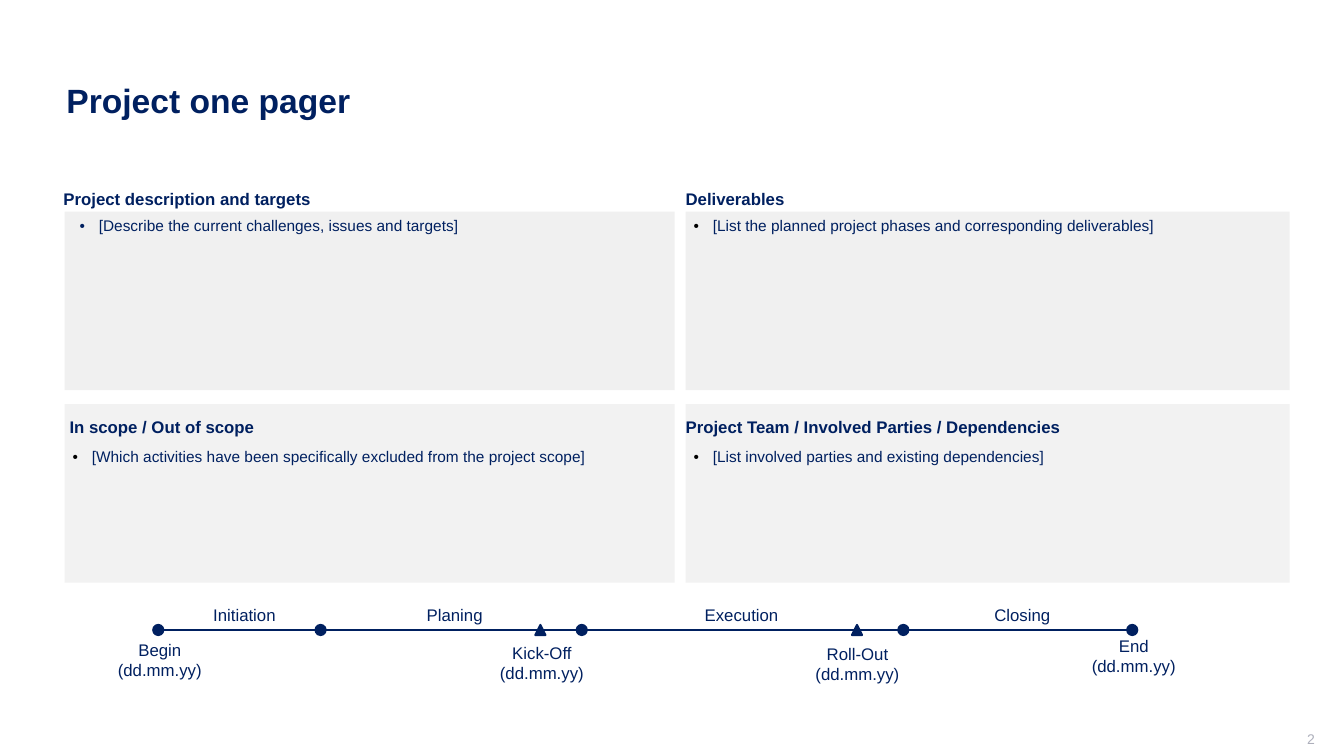
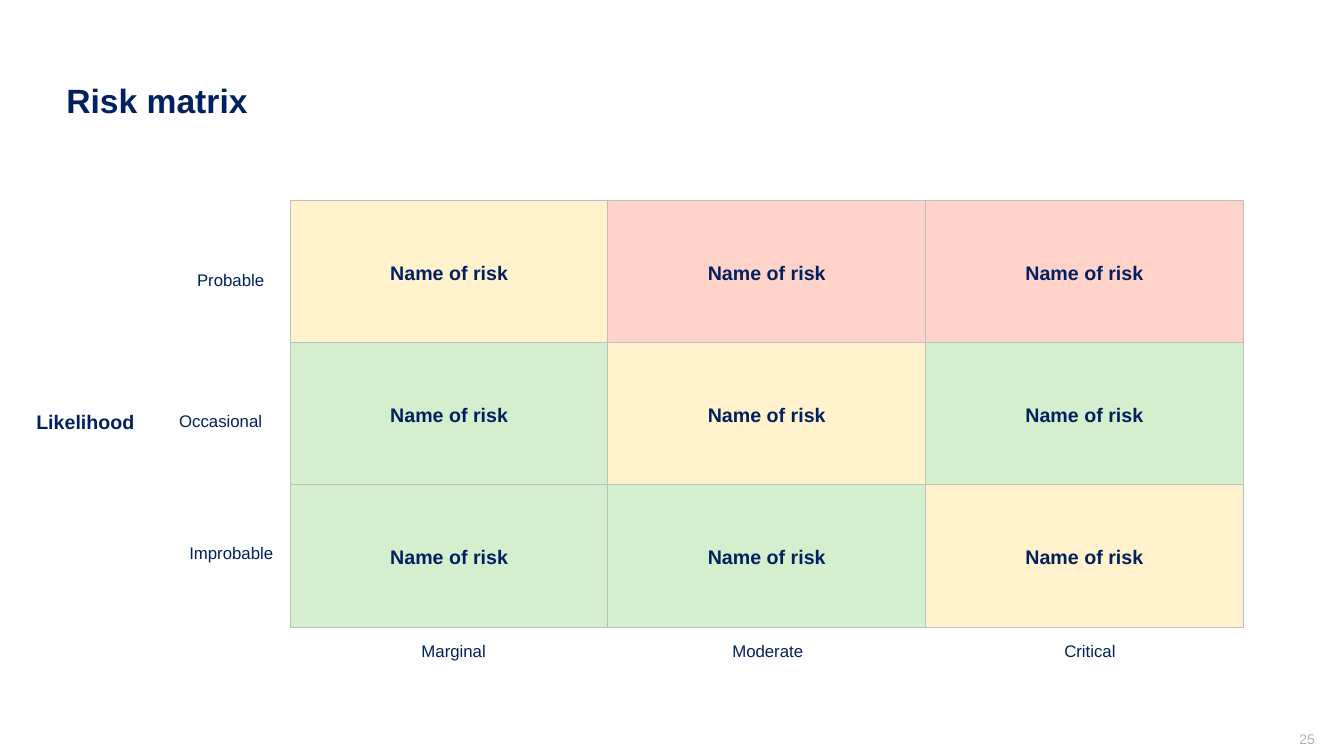
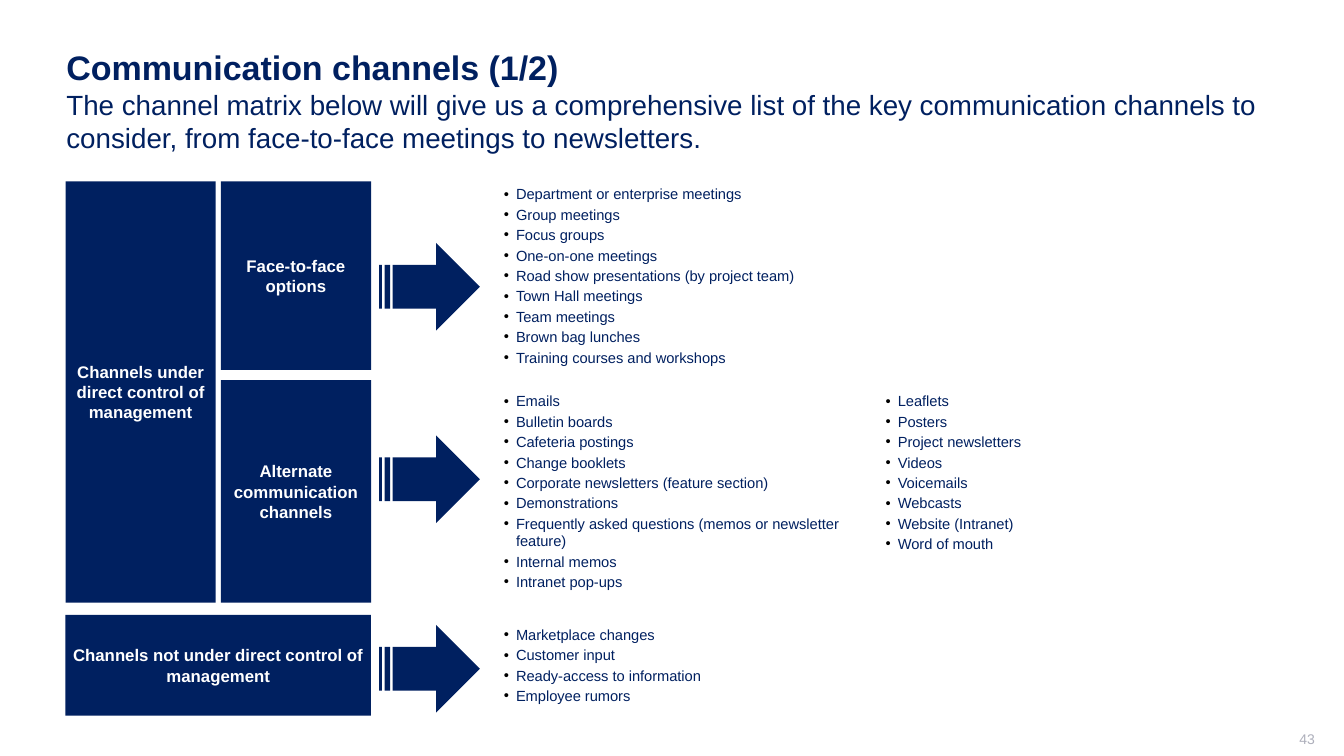
from dataclasses import dataclass, field, replace
from typing import NamedTuple, Optional

import lxml.etree
import pptx
import pptx.dml.color
import pptx.enum.shapes
import pptx.enum.text
import pptx.oxml.ns
import pptx.util

EMU_PER_PX = 9144
ALIGN = pptx.enum.text.PP_ALIGN
ANCHOR = pptx.enum.text.MSO_ANCHOR
SHAPE = pptx.enum.shapes.MSO_SHAPE


@dataclass(frozen=True)
class Theme:
    font: str = "Arial"
    navy: str = "002060"
    white: str = "FFFFFF"
    black: str = "000000"
    page_gray: str = "ADAFBB"
    border: str = "BFBFBF"
    panel_upper: str = "F0F0F0"
    panel_lower: str = "F2F2F2"
    low: str = "D3EFCE"
    medium: str = "FFF2CC"
    high: str = "FFD3CA"
    title: float = 24
    long_title: float = 24.3
    subtitle: float = 19.8
    emphasis: float = 14
    label: float = 12
    body: float = 11
    item: float = 10.5
    page: float = 10
    axis_line: float = 1.5
    cell_line: float = 0.75


THEME = Theme()


class Box(NamedTuple):
    left: int
    top: int
    width: int
    height: int


class Insets(NamedTuple):
    left: int = 10
    top: int = 5
    right: int = 10
    bottom: int = 5


class Bullet(NamedTuple):
    margin: int
    hang: int
    color: str = THEME.black


@dataclass(frozen=True)
class TextStyle:
    size: float = THEME.label
    color: str = THEME.navy
    bold: bool = False
    align: ALIGN = ALIGN.LEFT
    anchor: ANCHOR = ANCHOR.TOP
    insets: Insets = field(default_factory=Insets)
    bullet: Optional[Bullet] = None
    gap: float = 0
    columns: int = 1
    wrap: bool = True


class Panel(NamedTuple):
    heading: str
    prompt: str
    heading_box: Box
    body_box: Box
    fill: str
    heading_insets: Insets
    body_insets: Insets
    bullet: Bullet


class Caption(NamedTuple):
    text: str
    box: Box


class Channel(NamedTuple):
    name: str
    name_box: Box
    items: list[str]
    arrow_top: int
    columns: int = 1


TITLE = TextStyle(THEME.title, bold=True, anchor=ANCHOR.MIDDLE)
PAGE_NUMBER = TextStyle(THEME.page, THEME.page_gray, align=ALIGN.RIGHT,
                        anchor=ANCHOR.MIDDLE, insets=Insets(10, 0, 0, 5))
CENTERED = TextStyle(align=ALIGN.CENTER)
AXIS_X = replace(CENTERED, wrap=False)
AXIS_Y = replace(AXIS_X, align=ALIGN.RIGHT)
AXIS_NAME = TextStyle(THEME.emphasis, bold=True, wrap=False,
                      insets=Insets(20, 10, 20, 10))
RISK = TextStyle(THEME.emphasis, bold=True, align=ALIGN.CENTER, anchor=ANCHOR.MIDDLE)
CHANNEL_NAME = TextStyle(color=THEME.white, bold=True, align=ALIGN.CENTER,
                         anchor=ANCHOR.MIDDLE, insets=Insets(0, 5, 0, 5))
CHANNEL_ITEM = TextStyle(THEME.item, anchor=ANCHOR.MIDDLE, bullet=Bullet(12, 12), gap=1)


def px(length: int) -> pptx.util.Emu:
    return pptx.util.Emu(length * EMU_PER_PX)


def place(box: Box) -> list[pptx.util.Emu]:
    return [px(length) for length in box]


def rgb(color: str) -> pptx.dml.color.RGBColor:
    return pptx.dml.color.RGBColor.from_string(color)


def add_bullet(paragraph, bullet: Bullet) -> None:
    properties = paragraph._p.get_or_add_pPr()
    properties.set("marL", str(px(bullet.margin)))
    properties.set("indent", str(px(-bullet.hang)))
    qn = pptx.oxml.ns.qn
    tint = lxml.etree.SubElement(properties, qn("a:buClr"))
    lxml.etree.SubElement(tint, qn("a:srgbClr"), val=bullet.color)
    lxml.etree.SubElement(properties, qn("a:buFont"), typeface=THEME.font)
    lxml.etree.SubElement(properties, qn("a:buChar"), char="•")


def write(shape, lines: list[str], style: TextStyle) -> None:
    frame = shape.text_frame
    frame.word_wrap = style.wrap
    frame.vertical_anchor = style.anchor
    frame.margin_left, frame.margin_top, frame.margin_right, frame.margin_bottom = map(
        px, style.insets)
    if not style.wrap:
        frame.auto_size = pptx.enum.text.MSO_AUTO_SIZE.SHAPE_TO_FIT_TEXT
    if style.columns > 1:
        frame._txBody.bodyPr.set("numCol", str(style.columns))
    for index, line in enumerate(lines):
        paragraph = frame.add_paragraph() if index else frame.paragraphs[0]
        paragraph.text = line
        paragraph.alignment = style.align
        if style.gap:
            paragraph.space_after = pptx.util.Pt(style.gap)
            if index:
                paragraph.space_before = pptx.util.Pt(style.gap)
        if style.bullet:
            add_bullet(paragraph, style.bullet)
        font = paragraph.font
        font.name = THEME.font
        font.size = pptx.util.Pt(style.size)
        font.bold = style.bold
        font.color.rgb = rgb(style.color)


def add_text(slide, box: Box, lines: list[str], style: TextStyle):
    label = slide.shapes.add_textbox(*place(box))
    write(label, lines, style)
    return label


def add_block(slide, kind: SHAPE, box: Box, fill: str,
              line: Optional[str] = None, weight: float = 0):
    block = slide.shapes.add_shape(kind, *place(box))
    block.shadow.inherit = False
    block.fill.solid()
    block.fill.fore_color.rgb = rgb(fill)
    if line:
        block.line.color.rgb = rgb(line)
        block.line.width = pptx.util.Pt(weight)
    else:
        block.line.fill.background()
    return block


def add_page(deck, title: str, number: int, subtitle: str = ""):
    slide = deck.slides.add_slide(deck.slide_layouts[6])
    style = replace(TITLE, size=THEME.long_title) if subtitle else TITLE
    heading = add_text(slide, Box(56, 40, 1211, 119), [title], style)
    if subtitle:
        paragraph = heading.text_frame.paragraphs[0]
        paragraph.add_line_break()
        detail = paragraph.add_run()
        detail.text = subtitle
        detail.font.size = pptx.util.Pt(THEME.subtitle)
        detail.font.bold = False
    add_text(slide, Box(1004, 725, 300, 21), [str(number)], PAGE_NUMBER)
    return slide


def add_timeline(slide) -> None:
    axis_y, dot = 625, 10
    axis = slide.shapes.add_connector(
        pptx.enum.shapes.MSO_CONNECTOR.STRAIGHT,
        px(157), px(axis_y), px(1128), px(axis_y))
    axis.line.color.rgb = rgb(THEME.navy)
    axis.line.width = pptx.util.Pt(THEME.axis_line)
    lxml.etree.SubElement(axis._element.spPr, pptx.oxml.ns.qn("a:effectLst"))
    markers = [(SHAPE.OVAL, [152, 313, 572, 891, 1118]),
               (SHAPE.ISOSCELES_TRIANGLE, [531, 845])]
    for kind, lefts in markers:
        for left in lefts:
            add_block(slide, kind, Box(left, axis_y - dot // 2, dot, dot),
                      THEME.navy, THEME.navy, THEME.axis_line)
    phases = [
        Caption("Initiation", Box(188, 595, 109, 30)),
        Caption("Planing", Box(376, 595, 150, 30)),
        Caption("Execution", Box(673, 595, 125, 30)),
        Caption("Closing", Box(927, 595, 174, 30)),
    ]
    milestones = [
        Caption("Begin", Box(99, 630, 119, 50)),
        Caption("Kick-Off", Box(483, 633, 109, 50)),
        Caption("Roll-Out", Box(796, 634, 109, 50)),
        Caption("End", Box(1065, 626, 119, 50)),
    ]
    for phase in phases:
        add_text(slide, phase.box, [phase.text], CENTERED)
    for milestone in milestones:
        add_text(slide, milestone.box, [milestone.text, "(dd.mm.yy)"], CENTERED)


def add_one_pager(deck) -> None:
    slide = add_page(deck, "Project one pager", 2)
    upper_heading, lower_heading = Insets(0, 7, 13, 7), Insets(8, 4, 8, 4)
    upper_body, lower_body = Insets(8, 5, 8, 8), Insets(8, 43, 8, 4)
    near = Bullet(19, 19)
    panels = [
        Panel("Project description and targets",
              "[Describe the current challenges, issues and targets]",
              Box(63, 190, 613, 14), Box(64, 210, 605, 177), THEME.panel_upper,
              upper_heading, upper_body, Bullet(26, 19, THEME.navy)),
        Panel("Deliverables",
              "[List the planned project phases and corresponding deliverables]",
              Box(680, 190, 607, 14), Box(680, 210, 599, 177), THEME.panel_upper,
              upper_heading, upper_body, near),
        Panel("In scope / Out of scope",
              "[Which activities have been specifically excluded from the project scope]",
              Box(61, 407, 613, 32), Box(64, 401, 605, 177), THEME.panel_lower,
              lower_heading, lower_body, near),
        Panel("Project Team / Involved Parties / Dependencies",
              "[List involved parties and existing dependencies]",
              Box(672, 407, 606, 32), Box(680, 401, 599, 177), THEME.panel_lower,
              lower_heading, lower_body, near),
    ]
    for panel in panels:
        body = add_block(slide, SHAPE.RECTANGLE, panel.body_box, panel.fill)
        write(body, [panel.prompt], TextStyle(
            THEME.body, insets=panel.body_insets, bullet=panel.bullet))
        add_text(slide, panel.heading_box, [panel.heading], TextStyle(
            bold=True, anchor=ANCHOR.MIDDLE, insets=panel.heading_insets))
    add_timeline(slide)


def add_risk_matrix(deck) -> None:
    slide = add_page(deck, "Risk matrix", 25)
    left, top, width, height = 288, 199, 315, 142
    row_pitch = height - 1
    severities = [
        [THEME.medium, THEME.high, THEME.high],
        [THEME.low, THEME.medium, THEME.low],
        [THEME.low, THEME.low, THEME.medium],
    ]
    for row, severity_row in enumerate(severities):
        for column, severity in enumerate(severity_row):
            cell_box = Box(left + column * width, top + row * row_pitch, width, height)
            cell = add_block(slide, SHAPE.RECTANGLE, cell_box, severity,
                             THEME.border, THEME.cell_line)
            write(cell, ["Name of risk"], RISK)
    likelihoods = [
        Caption("Probable", Box(185, 263, 87, 30)),
        Caption("Occasional", Box(167, 403, 103, 30)),
        Caption("Improbable", Box(177, 534, 104, 30)),
    ]
    impacts = [
        Caption("Marginal", Box(408, 631, 84, 30)),
        Caption("Moderate", Box(716, 631, 91, 30)),
        Caption("Critical", Box(1045, 631, 72, 30)),
    ]
    for captions, style in [(likelihoods, AXIS_Y), (impacts, AXIS_X)]:
        for caption in captions:
            add_text(slide, caption.box, [caption.text], style)
    add_text(slide, Box(16, 397, 138, 43), ["Likelihood"], AXIS_NAME)


def add_channels(deck) -> None:
    slide = add_page(
        deck, "Communication channels (1/2)", 43,
        "The channel matrix below will give us a comprehensive list of the key "
        "communication channels to consider, from face-to-face meetings to newsletters.")
    channels = [
        Channel("Face-to-face options", Box(219, 180, 149, 187), [
            "Department or enterprise meetings", "Group meetings", "Focus groups",
            "One-on-one meetings", "Road show presentations (by project team)",
            "Town Hall meetings", "Team meetings", "Brown bag lunches",
            "Training courses and workshops"], 241),
        Channel("Alternate communication channels", Box(219, 377, 149, 221), [
            "Emails", "Bulletin boards", "Cafeteria postings", "Change booklets",
            "Corporate newsletters (feature section)", "Demonstrations",
            "Frequently asked questions (memos or newsletter feature)",
            "Internal memos", "Intranet pop-ups", "Leaflets", "Posters",
            "Project newsletters", "Videos", "Voicemails", "Webcasts",
            "Website (Intranet)", "Word of mouth"], 432, 2),
        Channel("Channels not under direct control of management",
                Box(65, 610, 303, 100), [
                    "Marketplace changes", "Customer input",
                    "Ready-access to information", "Employee rumors"], 620),
    ]
    managed = add_block(slide, SHAPE.RECTANGLE, Box(65, 180, 149, 418), THEME.navy)
    write(managed, ["Channels under direct control of management"], CHANNEL_NAME)
    for channel in channels:
        items_box = channel.name_box._replace(left=490, width=777)
        items = add_block(slide, SHAPE.RECTANGLE, items_box, THEME.white)
        write(items, channel.items, replace(CHANNEL_ITEM, columns=channel.columns))
        name = add_block(slide, SHAPE.RECTANGLE, channel.name_box, THEME.navy)
        write(name, [channel.name], CHANNEL_NAME)
        add_block(slide, SHAPE.STRIPED_RIGHT_ARROW,
                  Box(376, channel.arrow_top, 100, 87), THEME.navy)


def main() -> None:
    deck = pptx.Presentation()
    deck.slide_width, deck.slide_height = px(1333), px(750)
    add_one_pager(deck)
    add_risk_matrix(deck)
    add_channels(deck)
    deck.save("out.pptx")


if __name__ == "__main__":
    main()
